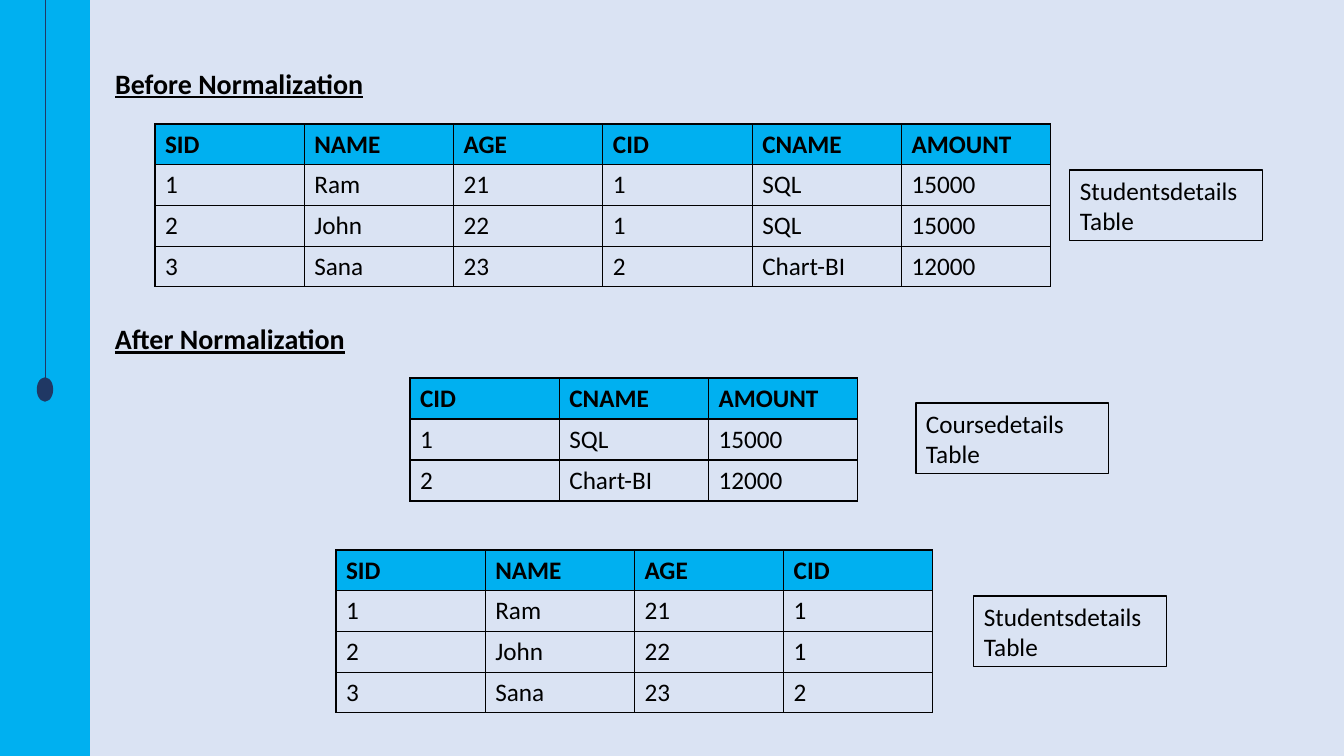
from pptx import Presentation
from pptx.dml.color import RGBColor
from pptx.enum.shapes import MSO_CONNECTOR, MSO_SHAPE
from pptx.enum.text import MSO_ANCHOR, MSO_AUTO_SIZE, PP_ALIGN
from pptx.oxml.ns import qn
from pptx.util import Pt
from lxml import etree

RECT, OVAL = MSO_SHAPE.RECTANGLE, MSO_SHAPE.OVAL
STRAIGHT = MSO_CONNECTOR.STRAIGHT
TOP, MIDDLE, LEFT = MSO_ANCHOR.TOP, MSO_ANCHOR.MIDDLE, PP_ALIGN.LEFT
FIT_SHAPE = MSO_AUTO_SIZE.SHAPE_TO_FIT_TEXT

CYAN = RGBColor(0x00, 0xB0, 0xF0)
NAVY = RGBColor(0x20, 0x38, 0x64)
PALE = RGBColor(0xDA, 0xE3, 0xF3)
BLACK = RGBColor(0, 0, 0)
FONT = "Calibri"

PX = 914400 / 100.8
SLIDE_W, SLIDE_H = 1344, 756
SIDEBAR_W = 90
DOT_W, DOT_H, DOT_TOP = 15, 23, 378
LABEL_W, LABEL_H = 193, 71

BEFORE = ("Before Normalization", (105, 61, 270, 44))
AFTER = ("After Normalization", (105, 317, 253, 44))

# (left, top, width, height), rows
TABLES = [
    ((155, 124, 896, 163), [
        ("SID", "NAME", "AGE", "CID", "CNAME", "AMOUNT"),
        ("1", "Ram", "21", "1", "SQL", "15000"),
        ("2", "John", "22", "1", "SQL", "15000"),
        ("3", "Sana", "23", "2", "Chart-BI", "12000"),
    ]),
    ((410, 378, 448, 123), [
        ("CID", "CNAME", "AMOUNT"),
        ("1", "SQL", "15000"),
        ("2", "Chart-BI", "12000"),
    ]),
    ((336, 550, 597, 163), [
        ("SID", "NAME", "AGE", "CID"),
        ("1", "Ram", "21", "1"),
        ("2", "John", "22", "1"),
        ("3", "Sana", "23", "2"),
    ]),
]
LABELS = [
    ((1070, 170), ("Studentsdetails", "Table")),
    ((916, 403), ("Coursedetails", "Table")),
    ((974, 596), ("Studentsdetails", "Table")),
]


def emu(*lengths):
    return [round(n * PX) for n in lengths]


def write(tf, *lines, size=18, bold=False, underline=False):
    for i, text in enumerate(lines):
        p = tf.paragraphs[0] if i == 0 else tf.add_paragraph()
        p.alignment = LEFT
        r = p.add_run()
        r.text = text
        r.font.name, r.font.size = FONT, Pt(size)
        r.font.bold, r.font.underline = bold, underline
        r.font.color.rgb = BLACK


def add_shape(s, kind, box, fill=None, line=None, weight=1):
    sp = s.shapes.add_shape(kind, *emu(*box))
    sp.shadow.inherit = False
    if fill is None:
        sp.fill.background()
    else:
        sp.fill.solid()
        sp.fill.fore_color.rgb = fill
    if line is None:
        sp.line.fill.background()
    else:
        sp.line.color.rgb = line
        sp.line.width = Pt(weight)
    return sp


def add_sidebar(s):
    center = SIDEBAR_W / 2
    add_shape(s, RECT, (0, 0, SIDEBAR_W, SLIDE_H), fill=CYAN)
    cord = s.shapes.add_connector(STRAIGHT, *emu(center, 0, center, DOT_TOP))
    cord.line.color.rgb = NAVY
    cord.line.width = Pt(0.5)
    etree.SubElement(cord.element.spPr, qn("a:effectLst"))
    add_shape(s, OVAL, (center - DOT_W / 2, DOT_TOP, DOT_W, DOT_H), fill=NAVY, line=NAVY)


def format_heading(sp, text, box):
    sp.left, sp.top, sp.width, sp.height = emu(*box)
    tf = sp.text_frame
    tf.word_wrap = False
    tf.auto_size = FIT_SHAPE
    tf.vertical_anchor = TOP
    write(tf, text, size=20, bold=True, underline=True)


def add_borders(cell):
    tc_pr = cell._tc.get_or_add_tcPr()
    for side in ("a:lnL", "a:lnR", "a:lnT", "a:lnB"):
        ln = etree.SubElement(tc_pr, qn(side), w=str(Pt(1)))
        fill = etree.SubElement(ln, qn("a:solidFill"))
        etree.SubElement(fill, qn("a:srgbClr"), val=str(BLACK))


def add_grid(s, box, rows):
    """Add a bordered table whose columns and rows share the box evenly."""
    table = s.shapes.add_table(len(rows), len(rows[0]), *emu(*box)).table
    table.first_row = table.horz_banding = False
    for column in table.columns:
        column.width, = emu(box[2] / len(rows[0]))
    for i, values in enumerate(rows):
        table.rows[i].height, = emu(box[3] / len(rows))
        for j, value in enumerate(values):
            cell = table.cell(i, j)
            add_borders(cell)
            if i == 0:
                cell.fill.solid()
                cell.fill.fore_color.rgb = CYAN
            else:
                cell.fill.background()
            write(cell.text_frame, value, bold=i == 0)


def add_label(s, corner, lines):
    sp = add_shape(s, RECT, (*corner, LABEL_W, LABEL_H), line=BLACK, weight=0.75)
    tf = sp.text_frame
    tf.word_wrap = True
    tf.auto_size = FIT_SHAPE
    tf.vertical_anchor = MIDDLE
    write(tf, *lines)


def main():
    prs = Presentation()
    prs.slide_width, prs.slide_height = emu(SLIDE_W, SLIDE_H)
    s = prs.slides.add_slide(prs.slide_layouts[5])
    s.background.fill.solid()
    s.background.fill.fore_color.rgb = PALE

    add_sidebar(s)
    format_heading(s.shapes.title, *BEFORE)
    format_heading(s.shapes.add_textbox(0, 0, 0, 0), *AFTER)
    for box, rows in TABLES:
        add_grid(s, box, rows)
    for corner, lines in LABELS:
        add_label(s, corner, lines)
    prs.save("out.pptx")


if __name__ == "__main__":
    main()
